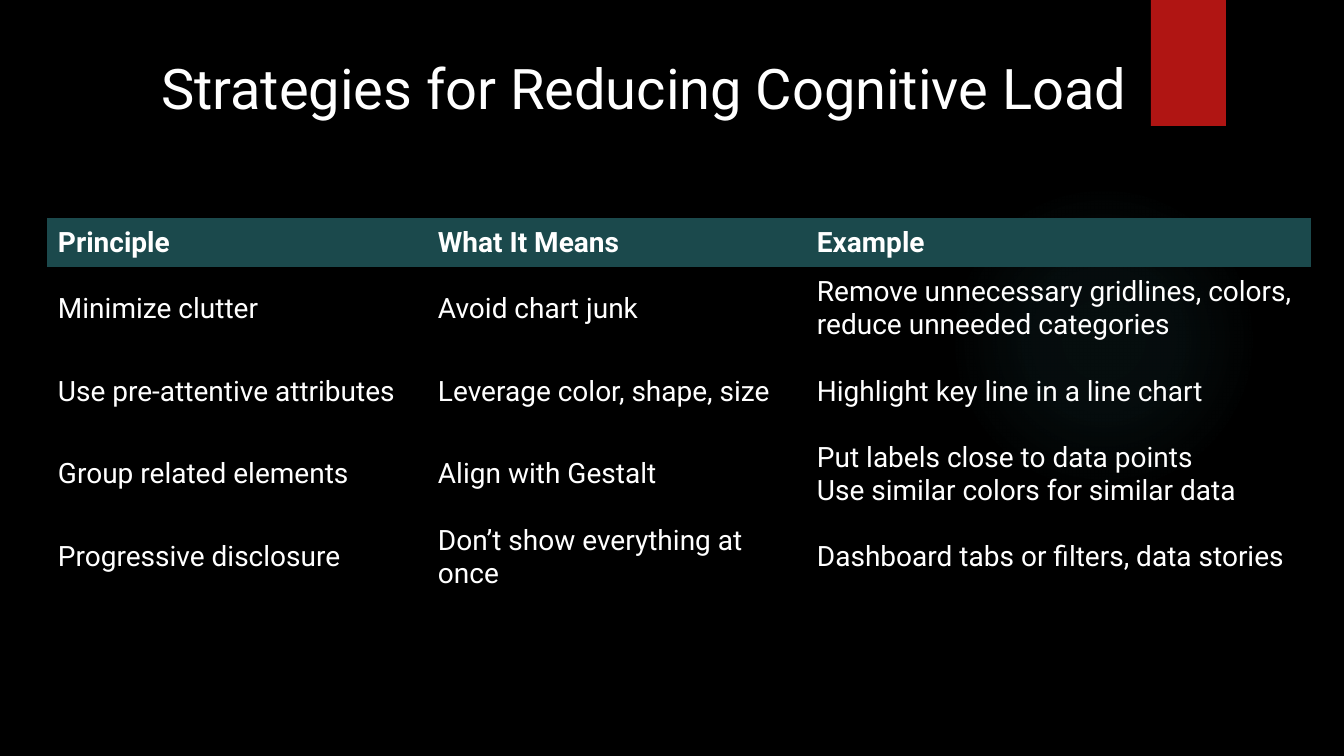
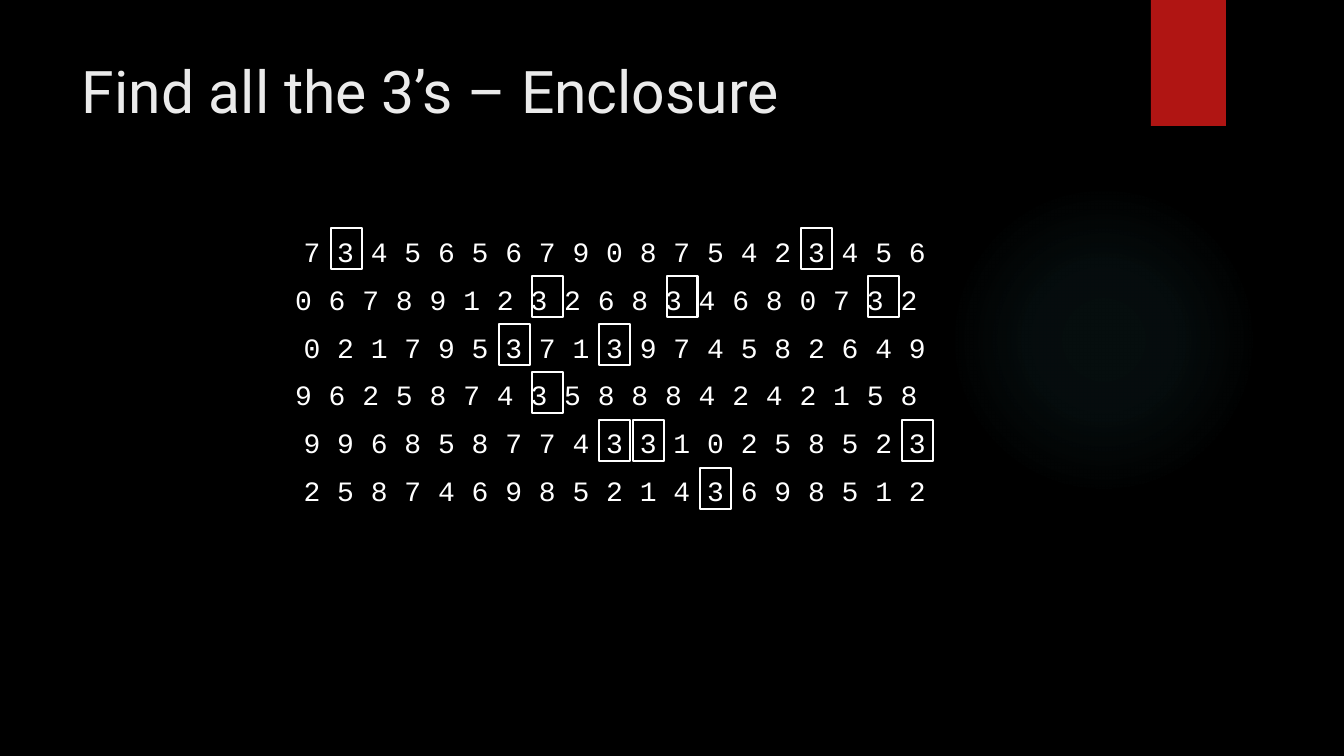
"""Build two dark slides on cognitive load and on finding digits by enclosure."""
from dataclasses import dataclass

from lxml import etree
from pptx import Presentation
from pptx.dml.color import RGBColor
from pptx.enum.shapes import MSO_SHAPE, PP_PLACEHOLDER
from pptx.enum.text import MSO_ANCHOR, MSO_AUTO_SIZE, PP_ALIGN
from pptx.oxml.ns import qn
from pptx.util import Emu, Pt

RECTANGLE, OVAL = MSO_SHAPE.RECTANGLE, MSO_SHAPE.OVAL
TITLE = PP_PLACEHOLDER.TITLE
TOP, MIDDLE = MSO_ANCHOR.TOP, MSO_ANCHOR.MIDDLE
LEFT, CENTER = PP_ALIGN.LEFT, PP_ALIGN.CENTER
NO_FIT = MSO_AUTO_SIZE.NONE
PLAIN_TABLE_STYLE = "{2D5ABB26-0587-4C30-8999-92F81FD0307C}"
TITLE_ONLY_LAYOUT = 5
SLIDE_WIDTH, SLIDE_HEIGHT = 1344, 756
EMU_PER_PX = 12192000 / SLIDE_WIDTH
PX_PER_POINT = 1.4


@dataclass(frozen=True)
class Theme:
    """Colours, fonts and type sizes shared by the slides."""

    background: str = "000000"
    text: str = "FFFFFF"
    soft_text: str = "EBEBEB"
    ribbon: str = "B01513"
    glow: str = "50B9C1"
    header: str = "1B494C"
    font: str = "Roboto"
    mono: str = "Courier New"
    title_size: int = 40
    large_title_size: int = 42
    body_size: int = 20
    outline: float = 1.5


THEME = Theme()

RIBBON_BOX = (1151, 0, 75, 126)
GLOW_BOX = (949, 185, 310, 310)
GLOW_STOPS = [(0, 7), (36, 6), (69, 0)]

STRATEGY_TITLE = "Strategies for Reducing Cognitive Load"
STRATEGY_TITLE_BOX = (151, 39, 1107, 97)
STRATEGIES = [
    ("Principle", "What It Means", "Example"),
    ("Minimize clutter", "Avoid chart junk",
     "Remove unnecessary gridlines, colors, reduce unneeded categories"),
    ("Use pre-attentive attributes", "Leverage color, shape, size",
     "Highlight key line in a line chart"),
    ("Group related elements", "Align with Gestalt",
     "Put labels close to data points\nUse similar colors for similar data"),
    ("Progressive disclosure", "Don’t show everything at once",
     "Dashboard tabs or filters, data stories"),
]
TABLE_ORIGIN = (47, 218)
COLUMN_WIDTHS = [380, 379, 505]
HEADER_HEIGHT, ROW_HEIGHT = 49, 83
CELL_INSETS = (11, 6, 11, 6)

DIGIT_TITLE = "Find all the 3’s – Enclosure"
DIGIT_TITLE_BOX = (72, 50, 1037, 154)
DIGIT_ROWS = [
    "7 3 4 5 6 5 6 7 9 0 8 7 5 4 2 3 4 5 6",
    "0 6 7 8 9 1 2 3 2 6 8 3 4 6 8 0 7 3 2 ",
    "0 2 1 7 9 5 3 7 1 3 9 7 4 5 8 2 6 4 9",
    "9 6 2 5 8 7 4 3 5 8 8 8 4 2 4 2 1 5 8 ",
    "9 9 6 8 5 8 7 7 4 3 3 1 0 2 5 8 5 2 3",
    "2 5 8 7 4 6 9 8 5 2 1 4 3 6 9 8 5 1 2",
]
TARGET_DIGIT = "3"
DIGIT_BOX = (122, 229, 986, 463)
DIGIT_INSETS = (10, 6, 10, 5)
DIGIT_GAP = 10
ENCLOSURE_ORIGIN = (297, 228)
ENCLOSURE_SIZE = (31, 41)
ENCLOSURE_ROW_STEP = 48
ENCLOSURE_COLUMN_STEP = 1.2 * THEME.body_size * PX_PER_POINT


def px(length):
    """Turn pixels into EMU."""
    return Emu(round(length * EMU_PER_PX))


def place(box):
    """Turn a pixel box into EMU."""
    return [px(length) for length in box]


def rgb(color):
    """Turn a hex string into a colour."""
    return RGBColor.from_string(color)


def write(frame, text, *, size=THEME.body_size, color=THEME.text,
          font=THEME.font, bold=False, align=LEFT, gap=0):
    """Fill a text frame with one paragraph per line of text."""
    for index, line in enumerate(text.split("\n")):
        para = frame.paragraphs[0] if index == 0 else frame.add_paragraph()
        para.alignment = align
        para.space_before = Pt(gap if index else 0)
        span = para.add_run()
        span.text = line
        span.font.size = Pt(size)
        span.font.name = font
        span.font.bold = bold
        span.font.color.rgb = rgb(color)


def set_frame(frame, anchor, insets=(10, 5, 10, 5)):
    """Set wrapping, anchor and insets of a text frame."""
    frame.word_wrap = True
    frame.auto_size = NO_FIT
    frame.vertical_anchor = anchor
    (frame.margin_left, frame.margin_top,
     frame.margin_right, frame.margin_bottom) = place(insets)


def add_block(page, kind, box, fill=None, line=None):
    """Add a flat preset shape."""
    shape = page.shapes.add_shape(kind, *place(box))
    shape.shadow.inherit = False
    if fill:
        shape.fill.solid()
        shape.fill.fore_color.rgb = rgb(fill)
    else:
        shape.fill.background()
    if line:
        shape.line.color.rgb = rgb(line)
        shape.line.width = Pt(THEME.outline)
    else:
        shape.line.fill.background()
    return shape


def add_glow(page):
    """Add a circle whose colour fades out from its centre."""
    glow = add_block(page, OVAL, GLOW_BOX)
    blank = glow.element.spPr.find(qn("a:noFill"))
    gradient = etree.Element(qn("a:gradFill"), rotWithShape="1")
    stops = etree.SubElement(gradient, qn("a:gsLst"))
    for position, opacity in GLOW_STOPS:
        stop = etree.SubElement(stops, qn("a:gs"), pos=str(position * 1000))
        color = etree.SubElement(stop, qn("a:srgbClr"), val=THEME.glow)
        etree.SubElement(color, qn("a:alpha"), val=str(opacity * 1000))
    fade = etree.SubElement(gradient, qn("a:path"), path="circle")
    etree.SubElement(fade, qn("a:fillToRect"),
                     dict.fromkeys("ltrb", "50000"))
    blank.getparent().replace(blank, gradient)
    return glow


def dress_layout(layout, page):
    """Give the layout the glow and ribbon that all slides show."""
    for holder in list(layout.placeholders):
        if holder.placeholder_format.type != TITLE:
            holder.element.getparent().remove(holder.element)
    ribbon = add_block(page, RECTANGLE, RIBBON_BOX, fill=THEME.ribbon)
    for shape in (add_glow(page), ribbon):
        layout.shapes.element.append(shape.element)


def set_title(page, text, box, anchor, **style):
    """Move and fill the title placeholder."""
    title = page.shapes.title
    title.left, title.top, title.width, title.height = place(box)
    set_frame(title.text_frame, anchor)
    write(title.text_frame, text, **style)


def build_strategies(page):
    """Build the table of strategies."""
    set_title(page, STRATEGY_TITLE, STRATEGY_TITLE_BOX, MIDDLE,
              size=THEME.title_size)
    heights = [HEADER_HEIGHT] + [ROW_HEIGHT] * (len(STRATEGIES) - 1)
    box = (*TABLE_ORIGIN, sum(COLUMN_WIDTHS), sum(heights))
    holder = page.shapes.add_table(len(heights), len(COLUMN_WIDTHS), *place(box))
    table = holder.table
    table.horz_banding = False
    holder.element.find(".//" + qn("a:tableStyleId")).text = PLAIN_TABLE_STYLE
    for column, width in zip(table.columns, COLUMN_WIDTHS):
        column.width = px(width)
    for row, height, texts in zip(table.rows, heights, STRATEGIES):
        row.height = px(height)
        is_header = texts is STRATEGIES[0]
        for cell, text in zip(row.cells, texts):
            (cell.margin_left, cell.margin_top,
             cell.margin_right, cell.margin_bottom) = place(CELL_INSETS)
            cell.vertical_anchor = MIDDLE
            if is_header:
                cell.fill.solid()
                cell.fill.fore_color.rgb = rgb(THEME.header)
            else:
                cell.fill.background()
            write(cell.text_frame, text, bold=is_header)


def build_digits(page):
    """Build the digit rows and enclose each target digit."""
    set_title(page, DIGIT_TITLE, DIGIT_TITLE_BOX, TOP,
              size=THEME.large_title_size, color=THEME.soft_text)
    frame = page.shapes.add_textbox(*place(DIGIT_BOX)).text_frame
    set_frame(frame, TOP, DIGIT_INSETS)
    write(frame, "\n".join(DIGIT_ROWS), font=THEME.mono,
          align=CENTER, gap=DIGIT_GAP)
    left, top = ENCLOSURE_ORIGIN
    for row, digits in enumerate(DIGIT_ROWS):
        for column, digit in enumerate(digits.split()):
            if digit == TARGET_DIGIT:
                corner = (left + column * ENCLOSURE_COLUMN_STEP,
                          top + row * ENCLOSURE_ROW_STEP)
                add_block(page, RECTANGLE, corner + ENCLOSURE_SIZE,
                          line=THEME.text)


def main():
    """Build and save the deck."""
    deck = Presentation()
    deck.slide_width, deck.slide_height = px(SLIDE_WIDTH), px(SLIDE_HEIGHT)
    backdrop = deck.slide_master.background.fill
    backdrop.solid()
    backdrop.fore_color.rgb = rgb(THEME.background)
    layout = deck.slide_layouts[TITLE_ONLY_LAYOUT]
    pages = [deck.slides.add_slide(layout) for _ in range(2)]
    dress_layout(layout, pages[0])
    for page, build in zip(pages, (build_strategies, build_digits)):
        build(page)
    deck.save("out.pptx")


if __name__ == "__main__":
    main()
